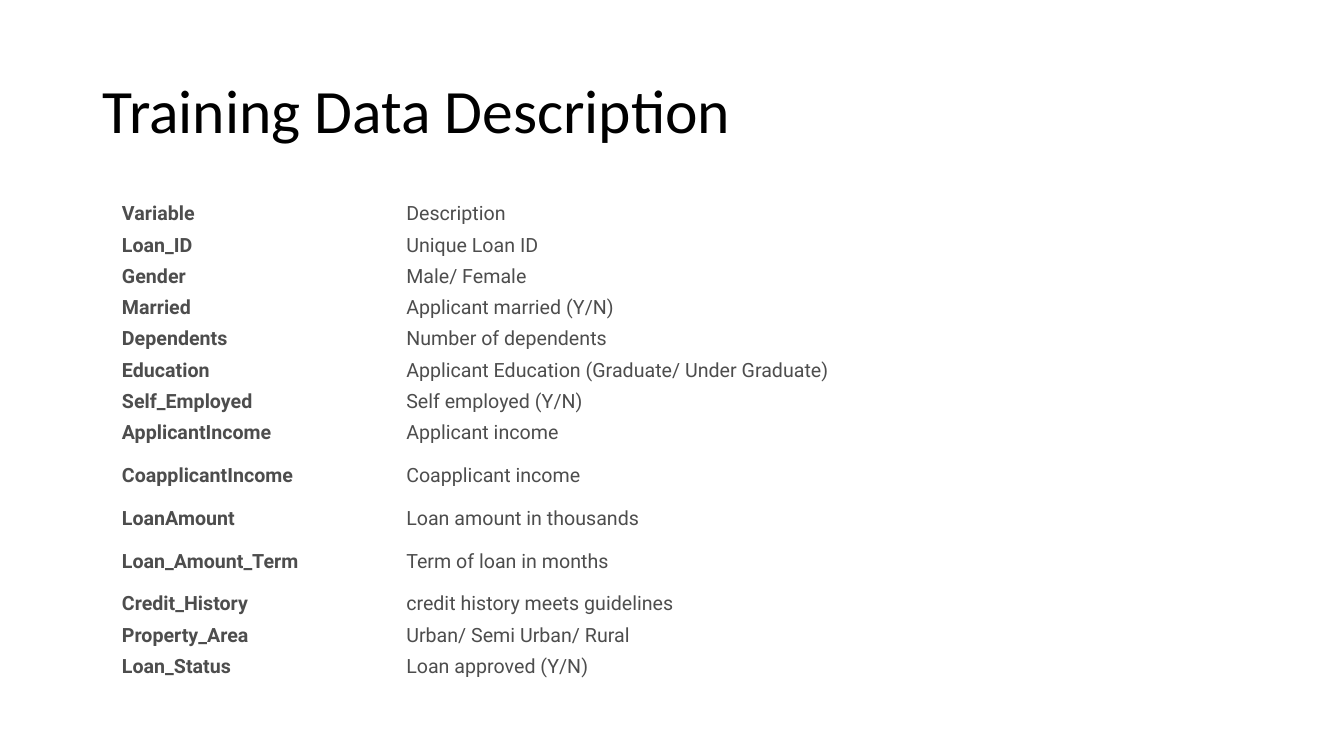
from pptx import Presentation
from pptx.dml.color import RGBColor
from pptx.enum.text import MSO_ANCHOR, PP_ALIGN
from pptx.util import Inches, Pt

TITLE_FORMAT = {"name": "Calibri", "size": Pt(44), "bold": False}
VARIABLE_FORMAT = {"name": "Roboto", "size": Pt(14), "bold": True}
DESCRIPTION_FORMAT = {**VARIABLE_FORMAT, "bold": False}
CELL_FORMAT = {
    "vertical_anchor": MSO_ANCHOR.MIDDLE,
    "margin_left": Inches(0.08),
    "margin_right": Inches(0.08),
    "margin_top": Inches(0.04),
    "margin_bottom": Inches(0.04),
}
COLUMN_WIDTHS = (2.82, 8.46)
ROW_HEIGHT = 0.31
TALL_ROW_HEIGHT = 0.54
TALL_VARIABLES = {"CoapplicantIncome", "Loan_Amount_Term"}
VARIABLES = [
    ("Variable", "Description"),
    ("Loan_ID", "Unique Loan ID"),
    ("Gender", "Male/ Female"),
    ("Married", "Applicant married (Y/N)"),
    ("Dependents", "Number of dependents"),
    ("Education", "Applicant Education (Graduate/ Under Graduate)"),
    ("Self_Employed", "Self employed (Y/N)"),
    ("ApplicantIncome", "Applicant income"),
    ("CoapplicantIncome", "Coapplicant income"),
    ("LoanAmount", "Loan amount in thousands"),
    ("Loan_Amount_Term", "Term of loan in months"),
    ("Credit_History", "credit history meets guidelines"),
    ("Property_Area", "Urban/ Semi Urban/ Rural"),
    ("Loan_Status", "Loan approved (Y/N)"),
]


def color(hex_value):
    """Turn a hex string into a colour."""
    return RGBColor.from_string(hex_value)


def apply_format(target, values):
    """Set each named attribute on the target."""
    for name, value in values.items():
        setattr(target, name, value)


def write_text(frame, text, font_format, hex_value):
    """Put one formatted span in a text frame and return its paragraph."""
    para = frame.paragraphs[0]
    span = para.add_run()
    span.text = text
    apply_format(span.font, font_format)
    span.font.color.rgb = color(hex_value)
    return para


def add_title(page, text):
    """Place and fill the title placeholder."""
    title = page.shapes.title
    apply_format(title, {"left": Inches(0.92), "top": Inches(0.4),
                         "width": Inches(11.5), "height": Inches(1.45)})
    title.text_frame.vertical_anchor = MSO_ANCHOR.MIDDLE
    para = write_text(title.text_frame, text, TITLE_FORMAT, "000000")
    apply_format(para, {"alignment": PP_ALIGN.LEFT, "line_spacing": 0.9})


def add_variable_table(page, entries):
    """Add the plain table of variables and their descriptions."""
    heights = [TALL_ROW_HEIGHT if variable in TALL_VARIABLES else ROW_HEIGHT
               for variable, _ in entries]
    table = page.shapes.add_table(
        len(entries), len(COLUMN_WIDTHS), Inches(1.13), Inches(1.97),
        Inches(sum(COLUMN_WIDTHS)), Inches(sum(heights))).table
    apply_format(table, {"first_row": False, "horz_banding": False})
    for column, width in zip(table.columns, COLUMN_WIDTHS):
        column.width = Inches(width)
    for row, height, entry in zip(table.rows, heights, entries):
        row.height = Inches(height)
        formats = (VARIABLE_FORMAT, DESCRIPTION_FORMAT)
        for cell, text, font_format in zip(row.cells, entry, formats):
            apply_format(cell, CELL_FORMAT)
            cell.fill.background()
            write_text(cell.text_frame, text, font_format, "4D4D4D")


def main():
    """Build the slide and save the deck."""
    deck = Presentation()
    apply_format(deck, {"slide_width": Inches(13.33),
                        "slide_height": Inches(7.5)})
    page = deck.slides.add_slide(deck.slide_layouts.get_by_name("Title Only"))
    add_title(page, "Training Data Description")
    add_variable_table(page, VARIABLES)
    deck.save("out.pptx")


main()
